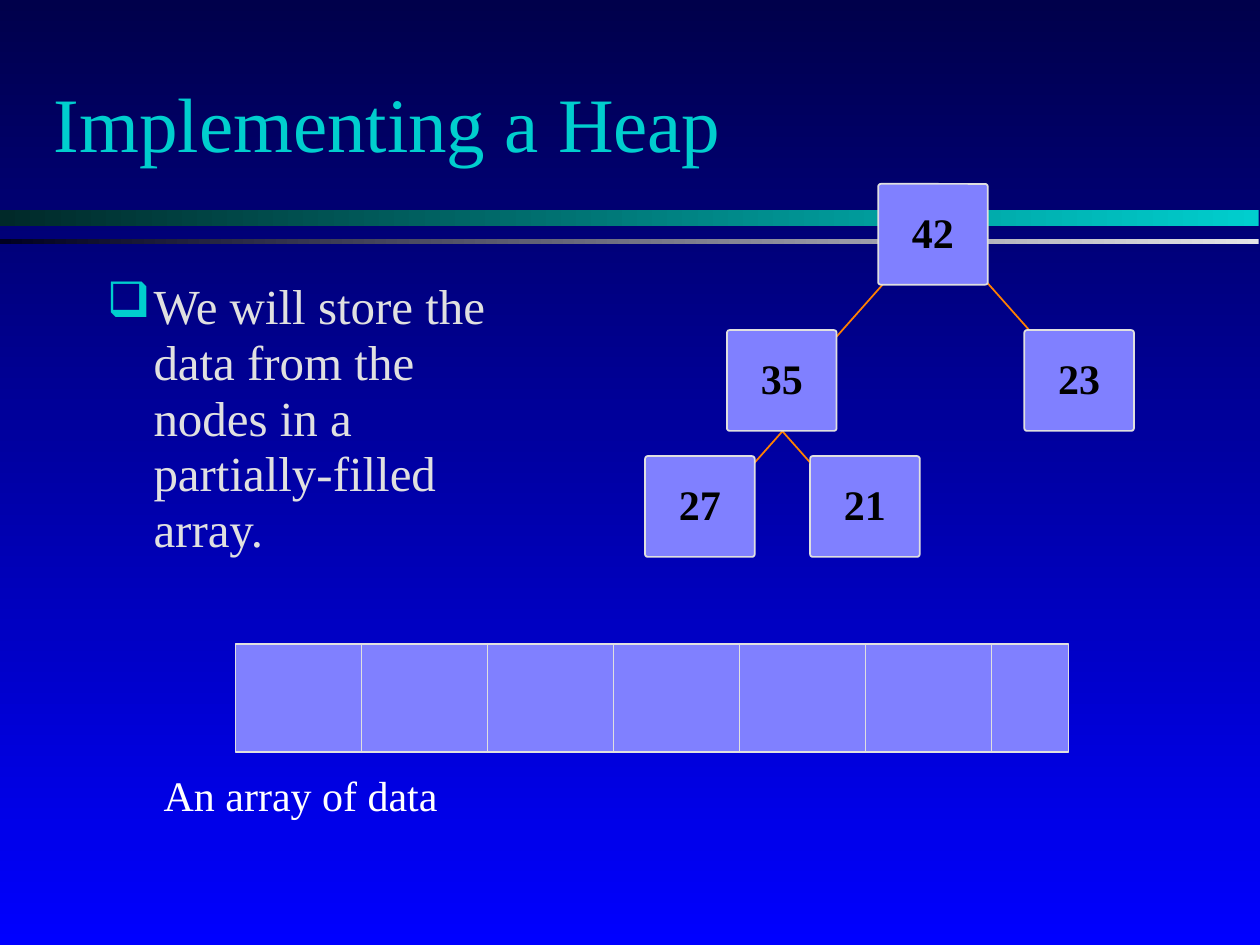
from lxml.etree import SubElement
from pptx import Presentation
from pptx.dml.color import RGBColor
from pptx.enum.shapes import MSO_CONNECTOR, MSO_SHAPE
from pptx.enum.text import MSO_ANCHOR, PP_ALIGN
from pptx.oxml.ns import qn
from pptx.util import Inches, Pt

FONT = "Times New Roman"
NAVY = RGBColor(0x00, 0x00, 0x4B)
BLUE = RGBColor(0x00, 0x00, 0xFF)
TEAL = RGBColor(0x00, 0xCE, 0xCE)
DARK_TEAL = RGBColor(0x00, 0x29, 0x29)
SILVER = RGBColor(0xE4, 0xE4, 0xE7)
MIDNIGHT = RGBColor(0x00, 0x00, 0x20)
LIGHT_GRAY = RGBColor(0xE0, 0xE0, 0xE0)
PERIWINKLE = RGBColor(0x80, 0x80, 0xFF)
ORANGE = RGBColor(0xFF, 0x80, 0x00)
WHITE = RGBColor(0xFF, 0xFF, 0xFF)
BLACK = RGBColor(0x00, 0x00, 0x00)

NODE_WIDTH, NODE_HEIGHT = 0.87, 0.8
NODES = [("42", 1.85, 0), ("35", 0.65, 1.16), ("23", 3.01, 1.16),
         ("27", 0, 2.16), ("21", 1.31, 2.16)]
EDGE_RUN, EDGE_DROP = 0.62, 0.7
EDGES = [(1.92, 0.76, -1), (2.65, 0.71, 1), (1.27, 1.76, -1), (0.91, 1.76, 1)]


def fill_gradient(fill, first, last, angle):
    fill.gradient()
    fill.gradient_angle = angle
    for stop, color in zip(fill.gradient_stops, (first, last)):
        stop.color.rgb = color


def write(frame, text, size, color, spacing, bold=False):
    frame.word_wrap = True
    paragraph = frame.paragraphs[0]
    paragraph.line_spacing = spacing
    run = paragraph.add_run()
    run.text = text
    run.font.name = FONT
    run.font.size = Pt(size)
    run.font.color.rgb = color
    run.font.bold = bold
    return paragraph


def add_text(slide, box, text, size, color, spacing=0.95):
    frame = slide.shapes.add_textbox(*map(Inches, box)).text_frame
    return frame, write(frame, text, size, color, spacing)


def add_panel(slide, box, rounding):
    panel = slide.shapes.add_shape(MSO_SHAPE.ROUNDED_RECTANGLE, *map(Inches, box))
    panel.adjustments[0] = rounding
    panel.shadow.inherit = False
    panel.fill.solid()
    panel.fill.fore_color.rgb = PERIWINKLE
    panel.line.color.rgb = LIGHT_GRAY
    panel.line.width = Pt(1)
    return panel


def add_line(slide, start, end, color):
    line = slide.shapes.add_connector(
        MSO_CONNECTOR.STRAIGHT, *map(Inches, (*start, *end)))
    line.line.color.rgb = color
    line.line.width = Pt(1)
    SubElement(line._element.spPr, qn("a:effectLst"))


def add_rule(slide, box, bright, dark):
    rule = slide.shapes.add_shape(MSO_SHAPE.RECTANGLE, *map(Inches, box))
    rule.shadow.inherit = False
    rule.line.fill.background()
    fill_gradient(rule.fill, bright, dark, 180)


def add_title(slide, box):
    frame, _ = add_text(slide, box, "Implementing a Heap", 44, TEAL)
    frame.vertical_anchor = MSO_ANCHOR.MIDDLE


def add_body(slide, box):
    _, point = add_text(
        slide, box,
        "We will store the data from the nodes in a partially-filled array.",
        28, LIGHT_GRAY)
    properties = point._p.get_or_add_pPr()
    properties.set("marL", str(Inches(0.37)))
    properties.set("indent", str(Inches(-0.37)))
    bullet_color = SubElement(properties, qn("a:buClr"))
    SubElement(bullet_color, qn("a:srgbClr"), val=str(TEAL))
    SubElement(properties, qn("a:buChar"), char="❑")


def add_array(slide, box):
    left, top, width, height = box
    add_panel(slide, box, 0)
    for cell in range(1, 7):
        add_line(slide, (left + cell, top), (left + cell, top + height), LIGHT_GRAY)


def add_heap(slide, left, top):
    for x, y, direction in EDGES:
        start = (left + x, top + y)
        end = (start[0] + direction * EDGE_RUN, start[1] + EDGE_DROP)
        add_line(slide, start, end, ORANGE)
    for value, x, y in NODES:
        node = add_panel(slide, (left + x, top + y, NODE_WIDTH, NODE_HEIGHT), 0.027)
        node.text_frame.vertical_anchor = MSO_ANCHOR.MIDDLE
        label = write(node.text_frame, value, 24, BLACK, 0.95, bold=True)
        label.alignment = PP_ALIGN.CENTER


def main():
    presentation = Presentation()
    presentation.slide_width = Inches(10)
    presentation.slide_height = Inches(7.5)
    slide = presentation.slides.add_slide(presentation.slide_layouts[6])
    fill_gradient(slide.background.fill, NAVY, BLUE, 270)
    add_rule(slide, (0, 1.67, 9.99, 0.12), TEAL, DARK_TEAL)
    add_rule(slide, (0, 1.9, 9.99, 0.04), SILVER, MIDNIGHT)
    add_title(slide, (0.33, 0.38, 8.5, 1.25))
    add_body(slide, (0.75, 2.17, 3.58, 4.5))
    add_array(slide, (1.87, 5.11, 6.61, 0.86))
    add_text(slide, (1.2, 6.09, 2.39, 0.47), "An array of data", 24, WHITE, 0.93)
    add_heap(slide, 5.12, 1.46)
    presentation.save("out.pptx")


if __name__ == "__main__":
    main()
